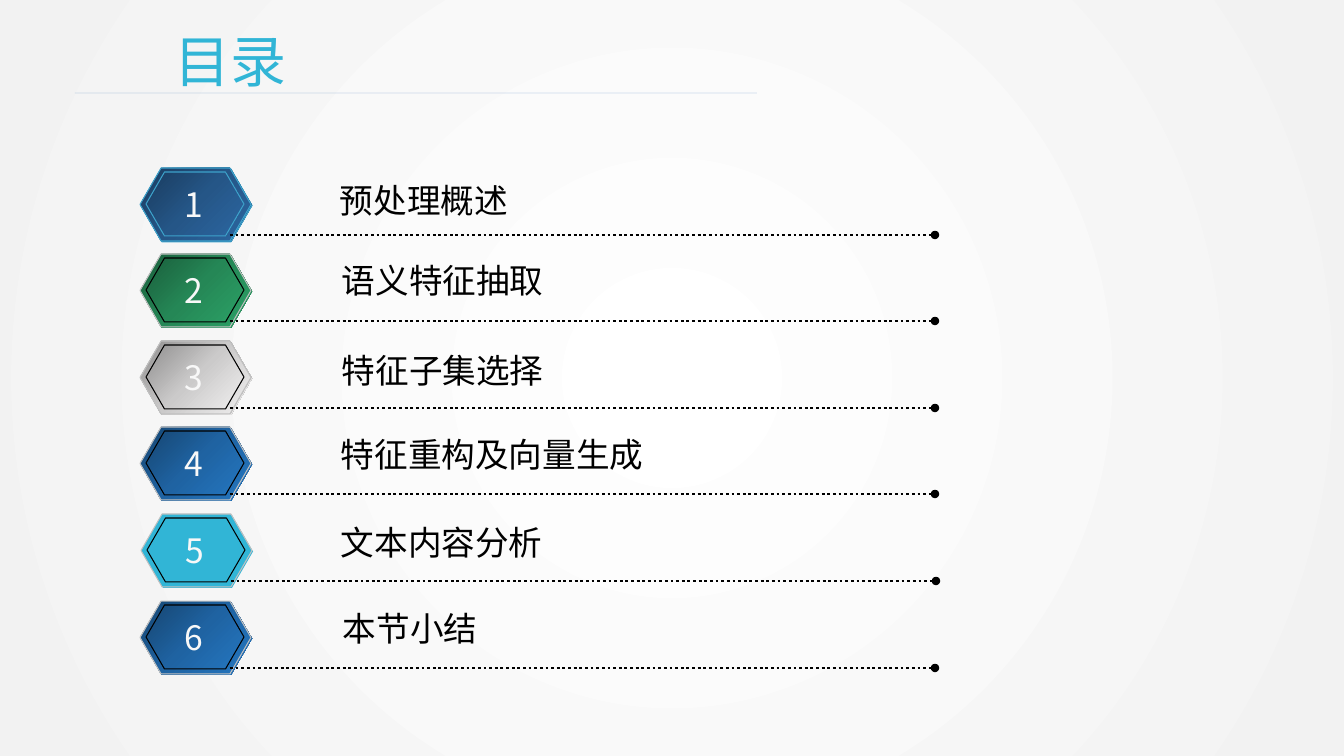
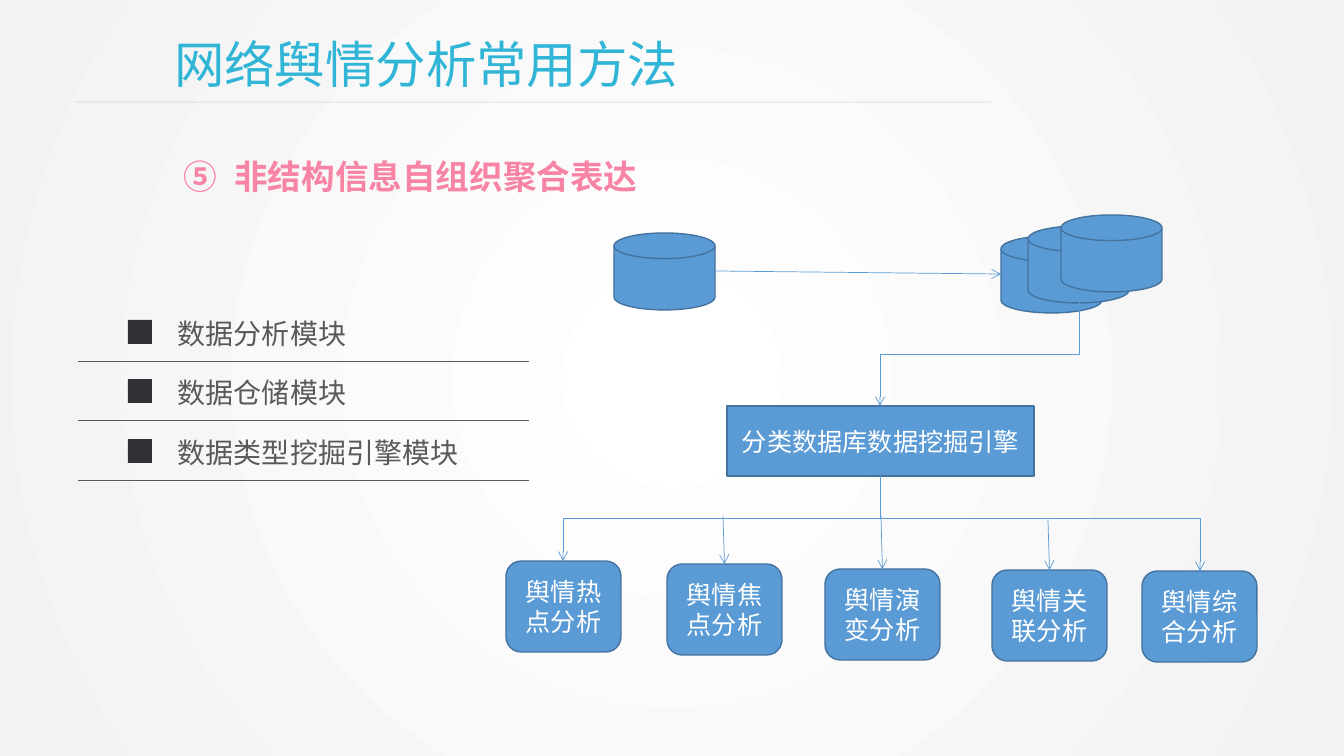
import copy

import pptx
import pptx.dml.color
import pptx.enum.dml
import pptx.enum.shapes
import pptx.enum.text
import pptx.oxml
import pptx.oxml.ns
import pptx.util

RGB = pptx.dml.color.RGBColor
SHAPE = pptx.enum.shapes.MSO_SHAPE
LINK = pptx.enum.shapes.MSO_CONNECTOR
ALIGN = pptx.enum.text.PP_ALIGN
ANCHOR = pptx.enum.text.MSO_ANCHOR
FIT = pptx.enum.text.MSO_AUTO_SIZE
DOTS = pptx.enum.dml.MSO_LINE.ROUND_DOT
Pt = pptx.util.Pt
qn = pptx.oxml.ns.qn

PX = 9071
SANS = "Noto Sans CJK SC"
WHITE = RGB(0xFF, 0xFF, 0xFF)
PALE = RGB(0xF2, 0xF2, 0xF2)
SNOW = RGB(0xF8, 0xF8, 0xF8)
BLACK = RGB(0, 0, 0)
CYAN = RGB(0x31, 0xB5, 0xD6)
RULE = RGB(0x4A, 0x7E, 0xBB)
SKY = RGB(0x3D, 0xA2, 0xCB)
SILVER = RGB(0xC0, 0xC0, 0xC0)
PINK = RGB(0xF7, 0x84, 0xA5)
BLUE = RGB(0x5B, 0x9B, 0xD5)
EDGE = RGB(0x43, 0x73, 0x9E)
GREY = RGB(0x59, 0x59, 0x59)
INK = RGB(0x32, 0x30, 0x34)
NAVY = (RGB(0x1A, 0x3C, 0x5F), RGB(0x25, 0x56, 0x87), RGB(0x2B, 0x66, 0xA1))
GREEN = (RGB(0x1A, 0x5F, 0x3C), RGB(0x25, 0x87, 0x56), RGB(0x2B, 0xA1, 0x66))
STEEL = (RGB(0x8F, 0x8E, 0x8E), RGB(0xCB, 0xCA, 0xCA), RGB(0xF1, 0xF0, 0xF0))
ROYAL = (RGB(0x16, 0x46, 0x72), RGB(0x1F, 0x63, 0xA2), RGB(0x24, 0x76, 0xC0))


def write(shape, text, size, tint, align=ALIGN.LEFT, wrap=True,
          fit=FIT.SHAPE_TO_FIT_TEXT, anchor=ANCHOR.TOP, face=SANS):
    """Put one run of text in the shape and return its paragraph."""
    frame = shape.text_frame
    frame.word_wrap = wrap
    frame.auto_size = fit
    frame.vertical_anchor = anchor
    para = frame.paragraphs[0]
    para.alignment = align
    run = para.add_run()
    run.text = text
    run.font.size = Pt(size)
    run.font.name = face
    run.font.color.rgb = tint
    east = pptx.oxml.parse_xml(
        f'<a:ea {pptx.oxml.ns.nsdecls("a")} typeface="{SANS}"/>')
    run.font._element.find(qn("a:latin")).addnext(east)
    return para


def link(slide, ends, tint, width, kind=LINK.STRAIGHT, dash=None, tail=None):
    """Draw a connector between ends (x1, y1, x2, y2), given in px."""
    line = slide.shapes.add_connector(kind, *(n * PX for n in ends))
    line.line.color.rgb = tint
    line.line.width = Pt(width)
    if dash:
        line.line.dash_style = dash
    props = line.element.spPr
    if tail:
        tip = props.find(qn("a:ln")).makeelement(qn("a:tailEnd"), {"type": tail})
        props.find(qn("a:ln")).append(tip)
    props.append(props.makeelement(qn("a:effectLst"), {}))
    return line


deck = pptx.Presentation()
deck.slide_width = 1344 * PX
deck.slide_height = 756 * PX

# Shared background: white centre fading to pale grey
master = deck.slide_master
back = master.background.fill
back.gradient()
for stop, tint in zip(back.gradient_stops, (WHITE, PALE)):
    stop.color.rgb = tint
lin = master.element.find(".//" + qn("a:lin"))
lin.getparent().replace(lin, pptx.oxml.parse_xml(
    f'<a:path {pptx.oxml.ns.nsdecls("a")} path="circle">'
    '<a:fillToRect l="50000" t="50000" r="50000" b="50000"/></a:path>'))

# Shared title and the faint rule below it
slides = []
for text, size, top, high, rule, end in (
        ("目录", 40, 21, 78, 93, 757),
        ("网络舆情分析常用方法", 36, 28, 72, 102, 991)):
    slide = deck.slides.add_slide(deck.slide_layouts[5])
    title = slide.shapes.title
    title.left, title.top = 164 * PX, top * PX
    title.width, title.height = 857 * PX, high * PX
    write(title, text, size, CYAN)
    line = link(slide, (75, rule, end, rule), RULE, 0.5)
    tint = line.element.spPr.find(".//" + qn("a:srgbClr"))
    tint.append(tint.makeelement(qn("a:alpha"), {"val": "25000"}))
    slides.append(slide)
index, method = slides

# Contents rows
rows = (
    ("预处理概述", 330, 175, NAVY),
    ("语义特征抽取", 332, 255, GREEN),
    ("特征子集选择", 332, 345, STEEL),
    ("特征重构及向量生成", 331, 429, ROYAL),
    ("文本内容分析", 331, 517, None),
    ("本节小结", 333, 603, ROYAL),
)
for i, (text, left, high, tints) in enumerate(rows):
    top = 168 + 433 * i // 5
    x = 140 if tints else 141
    rim, core, base = (SKY, SKY, SKY) if i == 0 else (SILVER, BLACK, None)
    for dx, dy, wide, tall, edge in (
            (1, 1, 111, 73, base), (0, 0, 111, 73, rim), (6, 4, 98, 64, core)):
        hexa = index.shapes.add_shape(
            SHAPE.HEXAGON, (x + dx) * PX, (top + dy) * PX, wide * PX, tall * PX)
        hexa.shadow.inherit = False
        hexa.adjustments[0] = 0.289
        if tints:
            hexa.fill.gradient()
            hexa.fill.gradient_angle = 315
            stops = hexa.element.find(".//" + qn("a:gsLst"))
            stops.insert(1, copy.deepcopy(stops[0]))
            for k, stop in enumerate(hexa.fill.gradient_stops):
                stop.position = k / 2
                stop.color.rgb = tints[k]
        else:
            hexa.fill.solid()
            hexa.fill.fore_color.rgb = CYAN
        if edge is None:
            hexa.line.fill.background()
        else:
            hexa.line.color.rgb = edge
            hexa.line.width = Pt(0.75)
    link(index, (x + 90, top + 67, x + 795, top + 67), BLACK, 2,
         dash=DOTS, tail="oval")
    box = index.shapes.add_textbox((x + 34) * PX, (top + 11) * PX, 40 * PX, 50 * PX)
    write(box, str(i + 1), 24, SNOW, ALIGN.CENTER, wrap=False)
    wide = 20 + 34 * len(text)
    box = index.shapes.add_textbox(left * PX, high * PX, wide * PX, 50 * PX)
    write(box, text, 24, BLACK, wrap=False)

# Numbered heading
box = method.shapes.add_textbox(174 * PX, 151 * PX, 496 * PX, 50 * PX)
para = write(box, "非结构信息自组织聚合表达", 24, PINK)
para.runs[0].font.bold = True
props = para._p.get_or_add_pPr()
props.set("marL", "457200")
props.set("indent", "-457200")
props.append(props.makeelement(
    qn("a:buAutoNum"), {"type": "circleNumDbPlain", "startAt": "5"}))

# Stores, engine and analysis boxes
DISK = SHAPE.FLOWCHART_MAGNETIC_DISK
ROUND = SHAPE.FLOWCHART_ALTERNATE_PROCESS
nodes = []
for kind, x, y, wide, tall, text in (
        (DISK, 614, 233, 101, 77, ""),
        (DISK, 1001, 236, 101, 77, ""),
        (DISK, 1028, 226, 101, 77, ""),
        (DISK, 1061, 215, 101, 77, ""),
        (SHAPE.RECTANGLE, 727, 406, 307, 70, "分类数据库数据挖掘引擎"),
        (ROUND, 506, 561, 115, 91, "舆情热点分析"),
        (ROUND, 667, 564, 115, 91, "舆情焦点分析"),
        (ROUND, 825, 569, 115, 91, "舆情演变分析"),
        (ROUND, 992, 570, 115, 91, "舆情关联分析"),
        (ROUND, 1142, 571, 115, 91, "舆情综合分析")):
    node = method.shapes.add_shape(kind, x * PX, y * PX, wide * PX, tall * PX)
    node.shadow.inherit = False
    node.fill.solid()
    node.fill.fore_color.rgb = BLUE
    node.line.color.rgb = EDGE
    node.line.width = Pt(1)
    if text:
        write(node, text, 18, WHITE, ALIGN.CENTER, fit=FIT.NONE,
              anchor=ANCHOR.MIDDLE, face="Calibri")
    nodes.append(node)

link(method, (715, 271, 1001, 274), BLUE, 0.5, tail="arrow")
for x, y, node in ((723, 516, nodes[6]), (881, 516, nodes[7]), (1048, 520, nodes[8])):
    line = link(method, (x, y, x + 1, 564), BLUE, 0.5, tail="arrow")
    line.end_connect(node, 0)

# Elbows that leave downwards: turned a quarter, with the bend at a given height
for x1, y1, x2, y2, bend in (
        (1079, 302, 880, 406, 354),
        (880, 476, 563, 561, 518),
        (880, 476, 1200, 571, 518)):
    line = link(method, (x1, y1, x2, y2), BLUE, 0.5, LINK.ELBOW, tail="arrow")
    wide, tall = y2 - y1, abs(x2 - x1)
    line.left = (x1 + x2 - wide) * PX // 2
    line.top = (y1 + y2 - tall) * PX // 2
    line.width, line.height = wide * PX, tall * PX
    form = line.element.spPr.find(qn("a:xfrm"))
    form.attrib.pop("flipH", None)
    if x2 > x1:
        form.set("flipH", "1")
    form.set("rot", "16200000" if x2 > x1 else "5400000")
    ratio = round((bend - y1) / wide * 100000)
    guides = line.element.spPr.find(".//" + qn("a:avLst"))
    guides.append(guides.makeelement(
        qn("a:gd"), {"name": "adj1", "fmla": f"val {ratio}"}))

# Module list
for i, text in enumerate(("数据分析模块", "数据仓储模块", "数据类型挖掘引擎模块")):
    y = 361 + 119 * i // 2
    link(method, (78, y, 529, y), GREY, 0.5)
    mark = method.shapes.add_shape(
        SHAPE.RECTANGLE, 128 * PX, (y - 41) * PX, 24 * PX, 24 * PX)
    mark.shadow.inherit = False
    mark.fill.solid()
    mark.fill.fore_color.rgb = INK
    mark.line.fill.background()
    box = method.shapes.add_textbox(168 * PX, (y - 58) * PX, 361 * PX, 48 * PX)
    write(box, text, 20, GREY).line_spacing = 1.25

deck.save("out.pptx")
